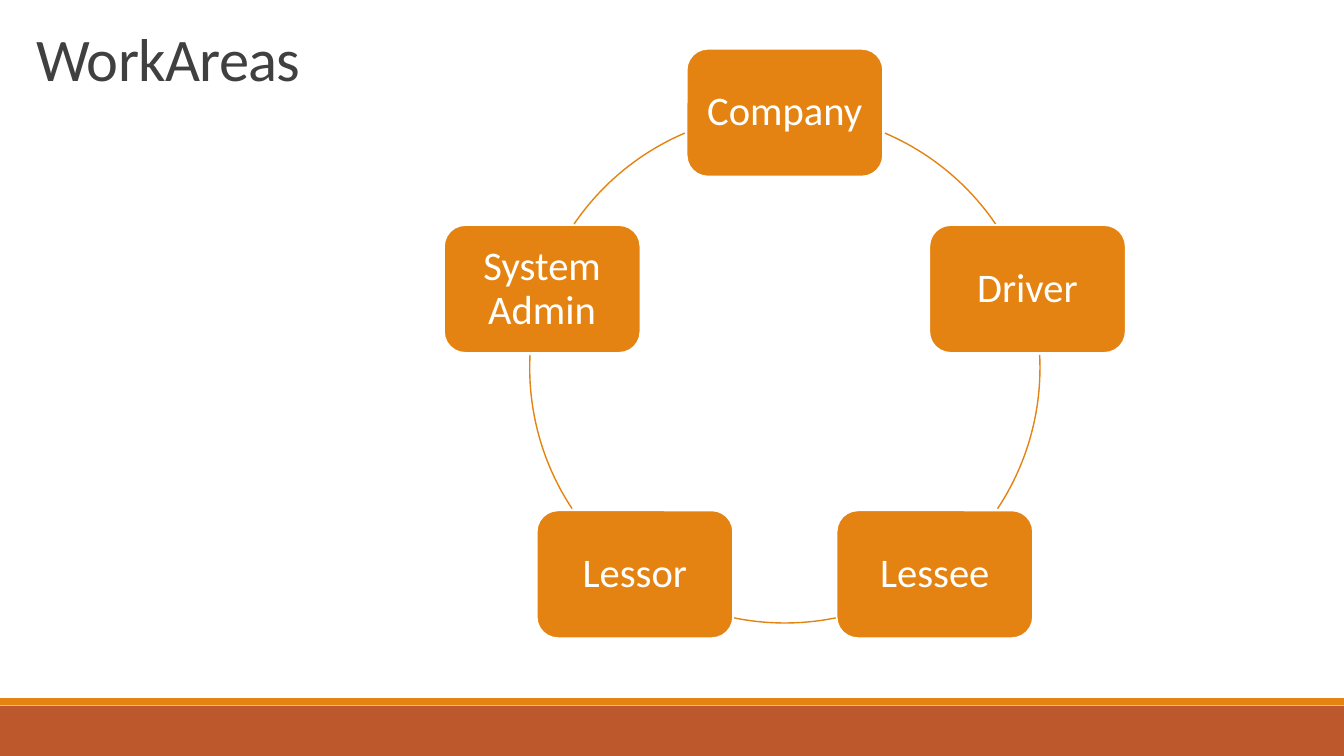
from math import cos, radians, sin

from pptx import Presentation
from pptx.dml.color import RGBColor
from pptx.enum.shapes import MSO_SHAPE as Preset
from pptx.enum.text import MSO_ANCHOR as Anchor, PP_ALIGN as Align
from pptx.util import Cm, Pt

ORANGE = RGBColor(0xE4, 0x83, 0x12)
RUST = RGBColor(0xBD, 0x58, 0x2C)
WHITE = RGBColor(0xFF, 0xFF, 0xFF)
CHARCOAL = RGBColor(0x40, 0x40, 0x40)

PAGE_WIDTH, PAGE_HEIGHT = 33.87, 19.05
CENTER_X, CENTER_Y, RADIUS = 19.78, 9.27, 6.43
NODE_WIDTH, NODE_HEIGHT = 4.95, 3.22

AREAS = ["Company", "Driver", "Lessee", "Lessor", "System Admin"]
ARCS = [(293.1, 325.7), (357.1, 33.5), (78.5, 101.5), (146.5, 182.9), (214.3, 246.9)]


def add_preset(page, preset, left, top, width, height, fill=None, line=None, weight=1):
    shape = page.shapes.add_shape(preset, Cm(left), Cm(top), Cm(width), Cm(height))
    shape.shadow.inherit = False
    if fill is None:
        shape.fill.background()
    else:
        shape.fill.solid()
        shape.fill.fore_color.rgb = fill
    if line is None:
        shape.line.fill.background()
    else:
        shape.line.color.rgb = line
        shape.line.width = Pt(weight)
    return shape


def write(box, text, size, color, align, anchor, spacing):
    frame = box.text_frame
    frame.word_wrap = True
    frame.vertical_anchor = anchor
    para = frame.paragraphs[0]
    para.alignment = align
    para.line_spacing = spacing
    span = para.add_run()
    span.text = text
    span.font.name = "Calibri"
    span.font.size = Pt(size)
    span.font.color.rgb = color
    return span


def add_title(page, text):
    box = page.shapes.add_textbox(Cm(0.67), Cm(0.53), Cm(8.1), Cm(1.96))
    span = write(box, text, 43.2, CHARCOAL, Align.LEFT, Anchor.BOTTOM, 0.85)
    span.font._element.set("spc", "-50")


def add_node(page, text, angle):
    left = CENTER_X + RADIUS * cos(radians(angle)) - NODE_WIDTH / 2
    top = CENTER_Y + RADIUS * sin(radians(angle)) - NODE_HEIGHT / 2
    box = add_preset(page, Preset.ROUNDED_RECTANGLE, left, top,
                     NODE_WIDTH, NODE_HEIGHT, ORANGE, WHITE, 1.25)
    frame = box.text_frame
    frame.margin_left = frame.margin_right = Cm(0.3)
    frame.margin_top = frame.margin_bottom = Cm(0.3)
    write(box, text, 29, WHITE, Align.CENTER, Anchor.MIDDLE, 0.9)


def add_arc(page, start, end):
    arc = add_preset(page, Preset.ARC, CENTER_X - RADIUS, CENTER_Y - RADIUS,
                     2 * RADIUS, 2 * RADIUS, line=ORANGE)
    for index, angle in enumerate((start, end)):
        arc.adjustments[index] = angle * 60000 / 100000


def main():
    deck = Presentation()
    deck.slide_width, deck.slide_height = Cm(PAGE_WIDTH), Cm(PAGE_HEIGHT)
    page = deck.slides.add_slide(deck.slide_layouts[6])
    add_preset(page, Preset.RECTANGLE, 0, 17.78, PAGE_WIDTH, 1.27, RUST)
    add_preset(page, Preset.RECTANGLE, 0, 17.59, PAGE_WIDTH, 0.18, ORANGE)
    add_title(page, "WorkAreas")
    for index, (area, (start, end)) in enumerate(zip(AREAS, ARCS)):
        add_node(page, area, -90 + index * 360 / len(AREAS))
        add_arc(page, start, end)
    deck.save("out.pptx")


main()
